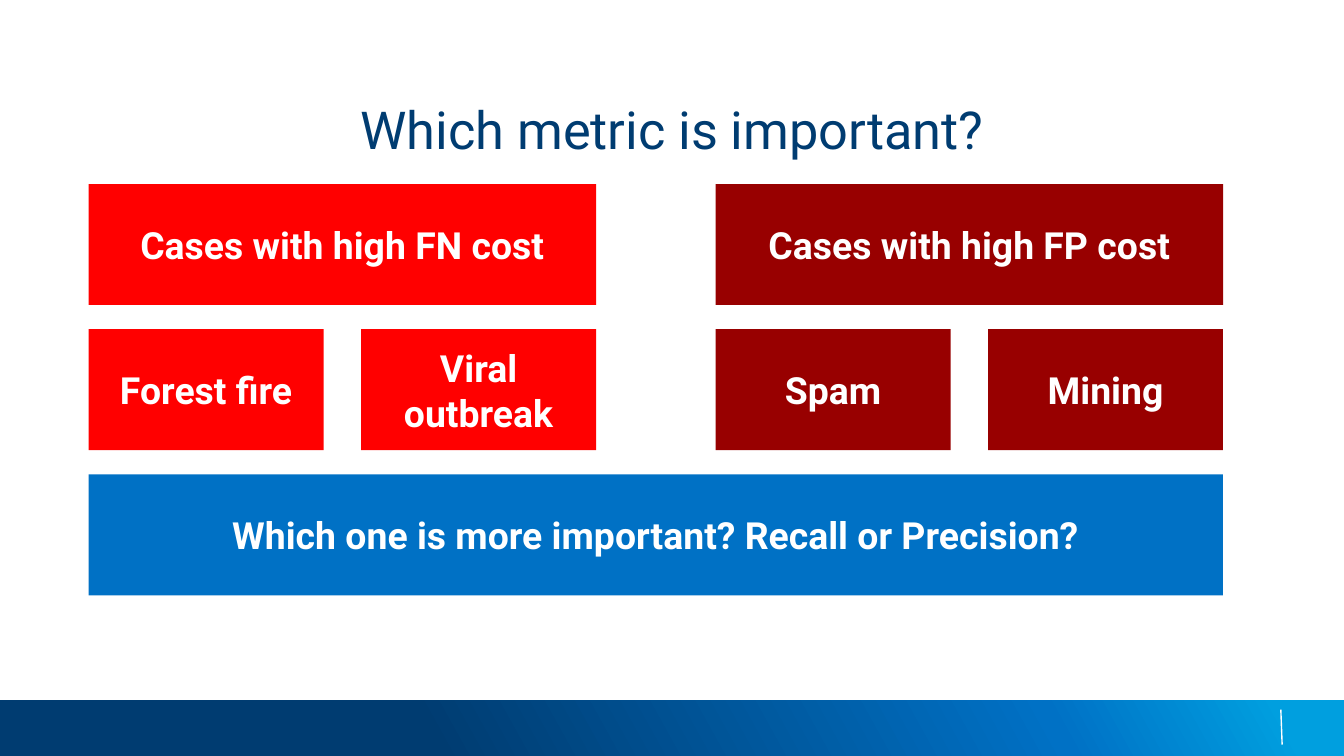
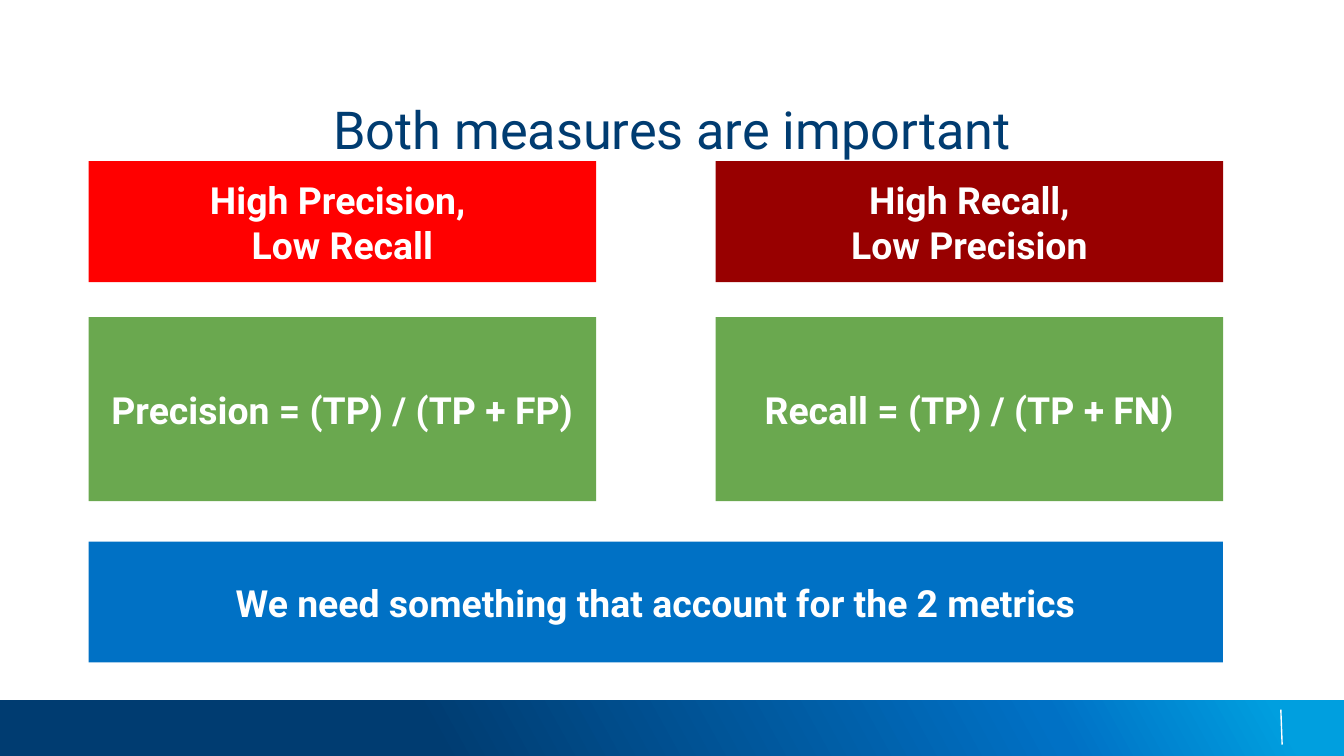
from copy import deepcopy
from dataclasses import dataclass

from lxml import etree
from pptx import Presentation
from pptx.dml.color import RGBColor
from pptx.enum.shapes import MSO_CONNECTOR, MSO_SHAPE
from pptx.enum.text import MSO_ANCHOR, PP_ALIGN
from pptx.oxml.ns import qn
from pptx.util import Inches, Pt

RECT = MSO_SHAPE.RECTANGLE
STRAIGHT = MSO_CONNECTOR.STRAIGHT
CENTER = PP_ALIGN.CENTER
MIDDLE, BOTTOM = MSO_ANCHOR.MIDDLE, MSO_ANCHOR.BOTTOM


@dataclass(frozen=True)
class Theme:
    font: str = "Roboto"
    title_size: int = 28
    block_size: int = 20
    inset: float = 0.1
    white: str = "FFFFFF"
    navy: str = "003C71"
    blue: str = "0071C5"
    cyan: str = "009FDF"
    red: str = "FF0000"
    dark_red: str = "980000"
    green: str = "6AA84F"


T = Theme()

# Boxes are (left, top, width, height) in inches
SLIDE_W = 10
SLIDE_H = SLIDE_W * 9 / 16
TITLE_BOX = (0.5, 0.34, 9, 0.95)
FOOTER_TOP = 5.21
FOOTER_BOX = (0, FOOTER_TOP, SLIDE_W, SLIDE_H - FOOTER_TOP)
BODY_LEFT, BODY_W = 0.66, 8.44
ROW_H = 0.9
COLUMN_GAP, CASE_GAP = 0.89, 0.28


def rgb(value):
    return RGBColor.from_string(value)


def inches(box):
    return [Inches(v) for v in box]


def split(box, gap, count=2):
    """Divide a box into equal columns."""
    left, top, width, height = box
    w = (width - gap * (count - 1)) / count
    return [(left + i * (w + gap), top, w, height) for i in range(count)]


def body_row(top, height=ROW_H):
    return BODY_LEFT, top, BODY_W, height


def put_text(sp, text, *, size, color, bold=False, anchor=MIDDLE):
    """Fill a shape with centred text, one paragraph per line."""
    tf = sp.text_frame
    tf.word_wrap = True
    tf.vertical_anchor = anchor
    tf.margin_left = tf.margin_right = Inches(T.inset)
    tf.margin_top = tf.margin_bottom = Inches(T.inset)
    for i, line in enumerate(text.split("\n")):
        p = tf.paragraphs[0] if i == 0 else tf.add_paragraph()
        p.alignment = CENTER
        r = p.add_run()
        r.text = line
        r.font.name = T.font
        r.font.size = Pt(size)
        r.font.bold = bold
        r.font.color.rgb = rgb(color)


def add_rect(s, box):
    sp = s.shapes.add_shape(RECT, *inches(box))
    sp.shadow.inherit = False
    sp.line.fill.background()
    return sp


def add_block(s, box, text, color):
    sp = add_rect(s, box)
    sp.fill.solid()
    sp.fill.fore_color.rgb = rgb(color)
    put_text(sp, text, size=T.block_size, color=T.white, bold=True)


def add_pair(s, box, texts, colors, gap=COLUMN_GAP):
    for cell, text, color in zip(split(box, gap), texts, colors):
        add_block(s, cell, text, color)


def add_footer(s, box):
    # Gradient band
    band = add_rect(s, box)
    band.fill.gradient()
    band.fill.gradient_angle = 29
    first = band.fill.gradient_stops[0]._gs
    first.addnext(deepcopy(first))
    colors = ((0.32, T.navy), (0.78, T.blue), (0.95, T.cyan))
    for stop, (position, color) in zip(band.fill.gradient_stops, colors):
        stop.position = position
        stop.color.rgb = rgb(color)

    # Thin divider near the right edge
    left, top, width, _ = box
    x, y = left + width - 0.47, top + 0.07
    rule = s.shapes.add_connector(STRAIGHT, *inches((x, y, x + 0.01, y + 0.26)))
    rule.line.color.rgb = rgb(T.white)
    rule.line.width = Pt(0.75)
    etree.SubElement(rule._element.spPr, qn("a:effectLst"))


def add_title(s, box, text):
    sp = s.shapes.add_textbox(*inches(box))
    put_text(sp, text, size=T.title_size, color=T.navy, anchor=BOTTOM)


def new_slide(prs, title):
    s = prs.slides.add_slide(prs.slide_layouts[6])
    s.background.fill.solid()
    s.background.fill.fore_color.rgb = rgb(T.white)
    add_footer(s, FOOTER_BOX)
    add_title(s, TITLE_BOX, title)
    return s


def metric_slide(prs):
    s = new_slide(prs, "Which metric is important?")
    headings, cases, question = [body_row(1.37 + 1.08 * i) for i in range(3)]
    costs = (T.red, T.dark_red)

    # Cost headings, each above its two cases
    add_pair(s, headings, ("Cases with high FN cost", "Cases with high FP cost"), costs)
    examples = (("Forest fire", "Viral outbreak"), ("Spam", "Mining"))
    for column, names, color in zip(split(cases, COLUMN_GAP), examples, costs):
        add_pair(s, column, names, (color, color), CASE_GAP)

    # Closing question
    add_block(s, question, "Which one is more important? Recall or Precision?", T.blue)


def measures_slide(prs):
    s = new_slide(prs, "Both measures are important")

    # Trade-offs above their formulas
    add_pair(s, body_row(1.2),
             ("High Precision, \nLow Recall", "High Recall,\nLow Precision"),
             (T.red, T.dark_red))
    add_pair(s, body_row(2.36, 1.37),
             ("Precision = (TP) / (TP + FP)", "Recall = (TP) / (TP + FN)"),
             (T.green, T.green))

    # Conclusion
    add_block(s, body_row(4.03), "We need something that account for the 2 metrics", T.blue)


def main():
    prs = Presentation()
    prs.slide_width, prs.slide_height = Inches(SLIDE_W), Inches(SLIDE_H)
    metric_slide(prs)
    measures_slide(prs)
    prs.save("out.pptx")


if __name__ == "__main__":
    main()
